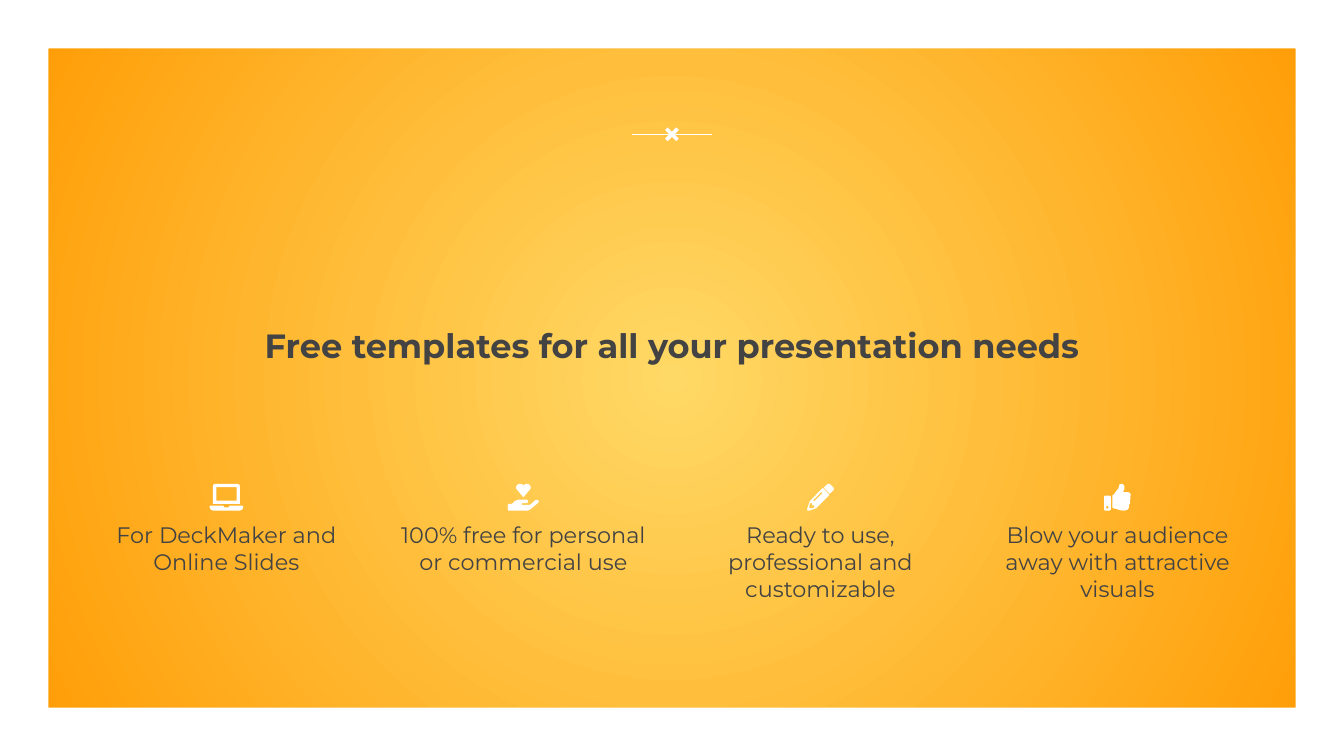
from dataclasses import dataclass

from lxml.etree import SubElement
from pptx import Presentation
from pptx.dml.color import RGBColor
from pptx.enum.shapes import MSO_CONNECTOR, MSO_SHAPE
from pptx.enum.text import MSO_ANCHOR, MSO_AUTO_SIZE, PP_ALIGN
from pptx.oxml.ns import qn
from pptx.util import Inches, Pt


@dataclass(frozen=True)
class Theme:
    font: str = "Montserrat"
    ink: RGBColor = RGBColor(0x43, 0x43, 0x43)
    white: RGBColor = RGBColor(0xFF, 0xFF, 0xFF)
    glow: RGBColor = RGBColor(0xFF, 0xD9, 0x66)
    edge: RGBColor = RGBColor(0xFF, 0x99, 0x00)
    head: Pt = Pt(18)
    body: Pt = Pt(12)
    rule: Pt = Pt(0.75)


THEME = Theme()
WIDE = Inches(10)
HIGH = WIDE * 9 // 16
MID = WIDE // 2
BORDER = Inches(0.36)
COLS = 4
STEP, CELL = Inches(2.21), Inches(1.85)
ICON_TOP, TEXT_TOP, TEXT_HIGH = Inches(3.6), Inches(3.88), Inches(0.7)
ICON_UNIT = Inches(0.2) / 80

LAPTOP = [
    [(30, 10), (30, 50), (-30, 50), (-30, 10)],
    [(-34, 0), (-39, 3), (-40, 7), (-40, 60), (40, 60), (40, 7), (39, 3),
     (34, 0)],
    [(-48, 65), (-50, 67), (-50, 70), (-47, 77), (-40, 80), (40, 80), (47, 77),
     (50, 70), (50, 67), (48, 65), (10, 65), (6, 70), (-6, 70), (-10, 65)],
]
HEART = [
    [(-10, 0), (-17, 2), (-22, 9), (-21, 15), (-17, 20), (-2, 38), (0, 40),
     (2, 38), (17, 20), (21, 15), (22, 9), (17, 2), (10, 0), (5, 1), (0, 5),
     (-5, 1)],
    [(-13, 47), (-20, 49), (-26, 52), (-34, 60), (-44, 60), (-46, 62),
     (-46, 78), (-44, 80), (12, 80), (18, 78), (44, 57), (46, 53), (44, 49),
     (39, 48), (35, 49), (22, 61), (17, 63), (-4, 63), (-6, 61), (-4, 58),
     (8, 58), (13, 56), (14, 52), (12, 48), (9, 47)],
]
PENCIL = [
    [(21, 1), (10, 11), (10, 12), (27, 29), (29, 29), (39, 19), (40, 15),
     (38, 11), (29, 2), (25, 0)],
    [(6, 13), (-32, 52), (-40, 76), (-38, 80), (-34, 80), (-13, 73), (26, 34),
     (26, 32), (8, 13)],
    [(4, 25), (6, 28), (-18, 52), (-21, 52), (-22, 49), (2, 25)],
    [(-25, 58), (-25, 64), (-18, 64), (-18, 71), (-30, 74), (-34, 70),
     (-31, 58)],
]
THUMB = [
    [(-31, 66), (-28, 67), (-26, 70), (-28, 73), (-31, 74), (-33, 73),
     (-34, 70), (-33, 67)],
    [(-37, 35), (-40, 38), (-40, 77), (-37, 80), (-23, 80), (-20, 77),
     (-20, 38), (-23, 35)],
    [(10, 0), (6, 2), (4, 10), (2, 16), (-3, 21), (-10, 31), (-15, 35),
     (-15, 71), (-12, 73), (-3, 75), (8, 79), (22, 80), (30, 77), (34, 72),
     (34, 64), (38, 58), (37, 49), (39, 43), (38, 37), (40, 33), (37, 27),
     (31, 25), (16, 25), (20, 17), (21, 10), (19, 4), (15, 0)],
]
PERKS = [
    ("For DeckMaker and Online Slides", LAPTOP),
    ("100% free for personal or commercial use", HEART),
    ("Ready to use, professional and customizable", PENCIL),
    ("Blow your audience away with attractive visuals", THUMB),
]


def paint(shape):
    shape.shadow.inherit = False
    shape.fill.solid()
    shape.fill.fore_color.rgb = THEME.white
    shape.line.fill.background()


def write(shape, text, size, bold=False):
    frame = shape.text_frame
    frame.word_wrap = True
    frame.auto_size = MSO_AUTO_SIZE.NONE
    frame.margin_left = frame.margin_right = 0
    frame.margin_top = frame.margin_bottom = 0
    frame.vertical_anchor = MSO_ANCHOR.TOP
    frame.text = text
    para = frame.paragraphs[0]
    para.alignment = PP_ALIGN.CENTER
    para.font.name = THEME.font
    para.font.size = size
    para.font.bold = bold
    para.font.color.rgb = THEME.ink


def set_back(slide):
    fill = slide.background.fill
    fill.gradient()
    for stop, color in zip(fill.gradient_stops, (THEME.glow, THEME.edge)):
        stop.color.rgb = color
    line = slide.element.find(".//" + qn("a:lin"))
    grad = line.getparent()
    grad.remove(line)
    ring = SubElement(grad, qn("a:path"), path="circle")
    SubElement(ring, qn("a:fillToRect"), dict.fromkeys("ltrb", "50000"))


def add_shape(slide, kind, box, ratio):
    shape = slide.shapes.add_shape(kind, *box)
    shape.adjustments[0] = ratio
    paint(shape)


def add_mark(slide):
    y, half, size = Inches(1), Inches(0.3), Inches(0.16)
    line = slide.shapes.add_connector(
        MSO_CONNECTOR.STRAIGHT, MID - half, y, MID + half, y)
    line.line.color.rgb = THEME.white
    line.line.width = THEME.rule
    SubElement(line.element.spPr, qn("a:effectLst"))
    box = MID - size // 2, y - size // 2, size, size
    add_shape(slide, MSO_SHAPE.MATH_MULTIPLY, box, 0.17)


def add_title(slide, text):
    title = slide.shapes.title
    wide = Inches(7.58)
    title.left, title.top = MID - wide // 2, Inches(2.42)
    title.width, title.height = wide, Inches(0.29)
    write(title, text, THEME.head, True)


def add_icon(slide, loops, x):
    pen = slide.shapes.build_freeform(*loops[0][0], scale=ICON_UNIT)
    pen.add_line_segments(loops[0][1:])
    for loop in loops[1:]:
        pen.move_to(*loop[0])
        pen.add_line_segments(loop[1:])
    paint(pen.convert_to_shape(x, ICON_TOP))


def add_perk(slide, col, text, loops):
    x = MID + int((col - (COLS - 1) / 2) * STEP)
    box = slide.shapes.add_textbox(x - CELL // 2, TEXT_TOP, CELL, TEXT_HIGH)
    write(box, text, THEME.body)
    add_icon(slide, loops, x)


def main():
    deck = Presentation()
    deck.slide_width, deck.slide_height = WIDE, HIGH
    slide = deck.slides.add_slide(deck.slide_layouts[5])
    set_back(slide)
    add_shape(slide, MSO_SHAPE.FRAME, (0, 0, WIDE, HIGH), BORDER / HIGH)
    add_mark(slide)
    add_title(slide, "Free templates for all your presentation needs")
    for col, (text, loops) in enumerate(PERKS):
        add_perk(slide, col, text, loops)
    deck.save("out.pptx")


if __name__ == "__main__":
    main()
